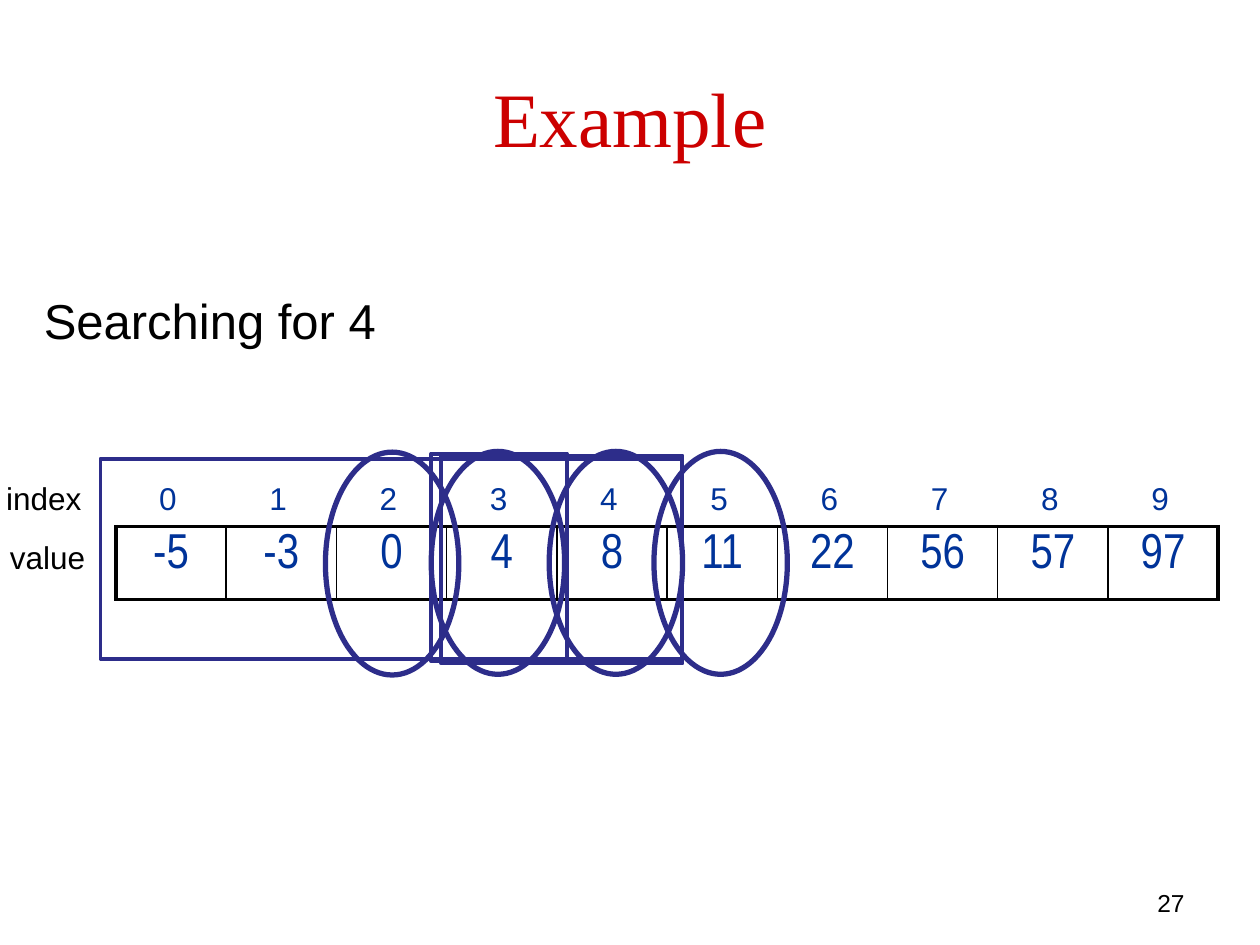
from dataclasses import dataclass

from lxml import etree
from pptx import Presentation
from pptx.dml.color import RGBColor
from pptx.enum.shapes import MSO_SHAPE
from pptx.enum.text import MSO_ANCHOR, PP_ALIGN
from pptx.oxml.ns import qn
from pptx.util import Emu, Inches, Pt

OVAL, RECT = MSO_SHAPE.OVAL, MSO_SHAPE.RECTANGLE
LEFT, CENTER, RIGHT = PP_ALIGN.LEFT, PP_ALIGN.CENTER, PP_ALIGN.RIGHT
TOP, MIDDLE = MSO_ANCHOR.TOP, MSO_ANCHOR.MIDDLE


@dataclass(frozen=True)
class Theme:
    title: str = "CC0000"
    text: str = "000000"
    data: str = "003399"
    mark: str = "2D2D8A"
    sans: str = "Arial"
    narrow: str = "Arial Narrow"
    serif: str = "Times New Roman"
    title_size: float = 44
    body_size: float = 28
    label_size: float = 18
    number_size: float = 14
    thick: float = 2.25
    thin: float = 1


@dataclass(frozen=True)
class Grid:
    """The array on the slide: one column per value, one row high."""
    left: float = 0.92
    top: float = 4.18
    col: float = 0.875
    row: float = 0.58

    def x(self, cols: float) -> float:
        return self.left + cols * self.col

    def y(self, rows: float) -> float:
        return self.top + rows * self.row


@dataclass(frozen=True)
class Mark:
    """Outline placed in columns and rows from the array's corner."""
    kind: MSO_SHAPE
    col: float
    row: float
    cols: float
    rows: float
    width: float


T = Theme()
G = Grid()
VALUES = [-5, -3, 0, 4, 8, 11, 22, 56, 57, 97]

# Search ranges are boxes, probed elements are ovals; back to front
MARKS = [
    Mark(OVAL, 4.88, -1.03, 1.21, 3.05, 3),
    Mark(OVAL, 1.90, -1.02, 1.21, 3.05, 3),
    Mark(RECT, -0.14, -0.93, 5.27, 2.74, T.thick),
    Mark(RECT, 2.95, -0.97, 2.19, 2.84, T.thick),
    Mark(OVAL, 3.93, -1.03, 1.21, 3.05, 3),
    Mark(OVAL, 2.86, -1.03, 1.21, 3.05, 3),
    Mark(RECT, 2.86, -1.00, 1.23, 2.84, T.thick),
]


def write(tf, text: str, *, size: float, color: str = T.text, font: str = T.sans,
          align: PP_ALIGN = LEFT) -> None:
    p = tf.paragraphs[0]
    p.alignment = align
    r = p.add_run()
    r.text = text
    r.font.size, r.font.name = Pt(size), font
    r.font.color.rgb = RGBColor.from_string(color)


def add_label(s, text: str, x: float, y: float, w: float, h: float, **fmt) -> None:
    tf = s.shapes.add_textbox(Inches(x), Inches(y), Inches(w), Inches(h)).text_frame
    tf.word_wrap = True
    tf.vertical_anchor = TOP
    write(tf, text, **fmt)


def add_border(cell, side: str, width: float) -> None:
    ln = etree.SubElement(cell._tc.get_or_add_tcPr(), qn(f"a:ln{side}"), w=str(Pt(width)))
    fill = etree.SubElement(ln, qn("a:solidFill"))
    etree.SubElement(fill, qn("a:srgbClr"), val=T.text)


def add_array(s, values: list[int]) -> None:
    n = len(values)
    table = s.shapes.add_table(1, n, Inches(G.left), Inches(G.top),
                               Inches(n * G.col), Inches(G.row)).table
    table.first_row = table.horz_banding = False
    for i, value in enumerate(values):
        table.columns[i].width = Inches(G.col)
        cell = table.cell(0, i)
        write(cell.text_frame, str(value), size=T.body_size, color=T.data,
              font=T.narrow, align=CENTER)
        add_border(cell, "L", T.thick if i == 0 else T.thin)
        add_border(cell, "R", T.thick if i == n - 1 else T.thin)
        add_border(cell, "T", T.thick)
        add_border(cell, "B", T.thick)
        cell.fill.background()


def add_mark(s, m: Mark) -> None:
    sp = s.shapes.add_shape(m.kind, Inches(G.x(m.col)), Inches(G.y(m.row)),
                            Inches(m.cols * G.col), Inches(m.rows * G.row))
    sp.shadow.inherit = False
    sp.fill.background()
    sp.line.color.rgb = RGBColor.from_string(T.mark)
    sp.line.width = Pt(m.width)


def main() -> None:
    prs = Presentation()
    prs.slide_width, prs.slide_height = Inches(10), Inches(7.5)
    s = prs.slides.add_slide(prs.slide_layouts[5])

    # Title
    title = s.shapes.title
    title.left, title.top = Emu(int(prs.slide_width * 0.05)), Emu(int(prs.slide_height * 0.04))
    title.width, title.height = Emu(int(prs.slide_width * 0.9)), Inches(1.25)
    title.text_frame.vertical_anchor = MIDDLE
    write(title.text_frame, "Example", size=T.title_size, color=T.title,
          font=T.serif, align=CENTER)

    # Page number and task
    add_label(s, "27", 7.17, 7, 2.33, 0.25, size=T.number_size, align=RIGHT)
    add_label(s, "Searching for 4", 0.25, 2.26, 4.36, 0.57, size=T.body_size)

    # Array with its row names and indices
    add_array(s, VALUES)
    index_y = G.y(-0.74)
    add_label(s, "value", -0.02, G.y(0.07), 0.92, 0.4, size=T.label_size)
    add_label(s, "index", -0.05, index_y, 0.92, 0.4, size=T.label_size)
    for i in range(len(VALUES)):
        add_label(s, str(i), G.x(i + 0.28), index_y, 0.34, 0.4,
                  size=T.label_size, color=T.data)

    # Steps of the search
    for mark in MARKS:
        add_mark(s, mark)

    prs.save("out.pptx")


if __name__ == "__main__":
    main()
